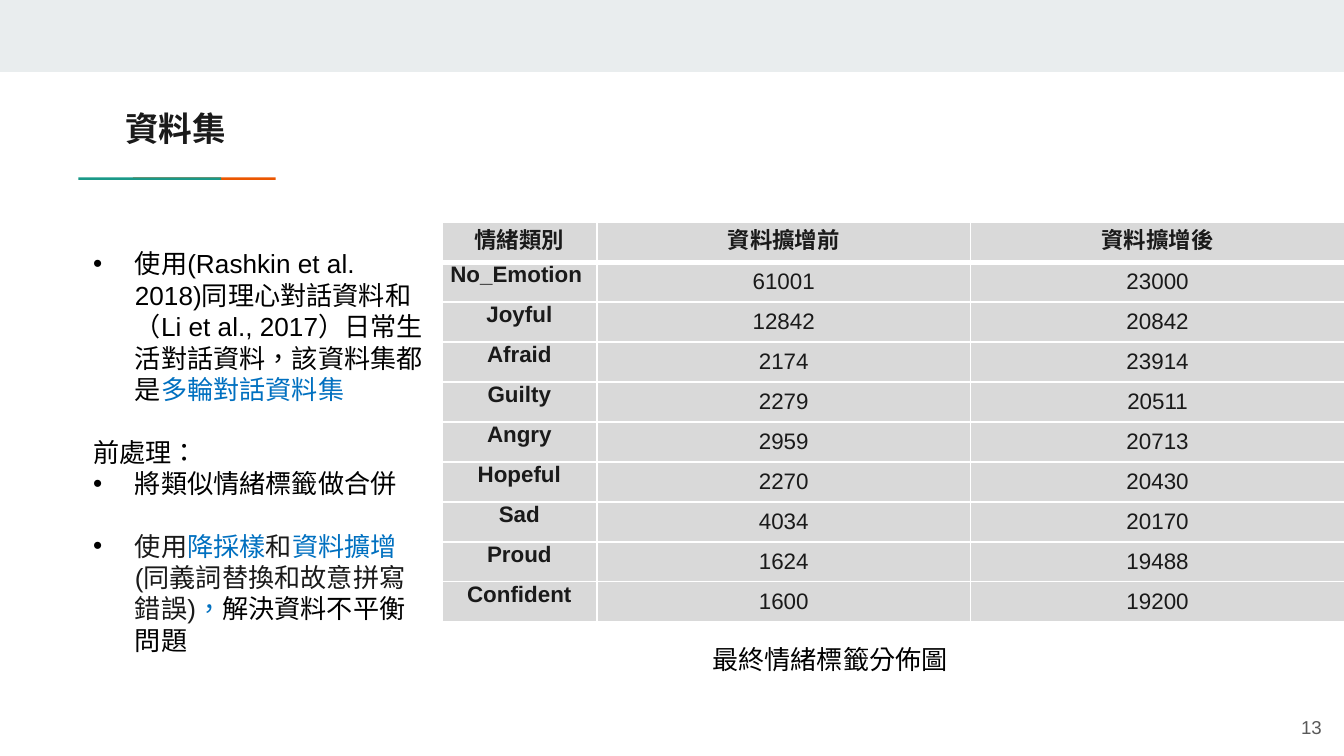
from lxml import etree
from pptx import Presentation
from pptx import util as u
from pptx.dml.color import RGBColor
from pptx.enum import lang, shapes, text
from pptx.oxml import ns

COLORS = {
    "band": "E9EDEE", "teal": "1A9988", "orange": "EB5600", "cell": "D9D9D9",
    "white": "FFFFFF", "black": "000000", "ink": "1A1A1A", "blue": "0070C0",
    "gray": "595959",
}
FONT = "Arial"
HEADERS = ["情緒類別", "資料擴增前", "資料擴增後"]
EMOTIONS = [
    ("No_Emotion", 61001, 23000),
    ("Joyful", 12842, 20842),
    ("Afraid", 2174, 23914),
    ("Guilty", 2279, 20511),
    ("Angry", 2959, 20713),
    ("Hopeful", 2270, 20430),
    ("Sad", 4034, 20170),
    ("Proud", 1624, 19488),
    ("Confident", 1600, 19200),
]
NOTES = [
    (True, 0, [("使用(Rashkin et al. 2018)同理心對話資料和（Li et al., 2017）日常生活對話資料，該資料集都是", "black"),
               ("多輪對話資料集", "blue")]),
    (False, 16.75, [("前處理：", "black")]),
    (True, 0, [("將類似情緒標籤做合併", "black")]),
    (True, 16.75, [("使用", "ink"), ("降採樣", "blue"), ("和", "ink"), ("資料擴增", "blue"),
                   ("(同義詞替換和故意拼寫錯誤)", "ink"), ("，", "blue"),
                   ("解決資料不平衡問題", "black")]),
]


def rgb(name):
    return RGBColor.from_string(COLORS[name])


def add_run(p, words, size, color, bold=False):
    r = p.add_run()
    r.text = words
    r.font.name = FONT
    r.font.size = u.Pt(size)
    r.font.bold = bold
    r.font.color.rgb = rgb(color)
    r.font.language_id = lang.MSO_LANGUAGE_ID.TRADITIONAL_CHINESE


def add_bar(s, box, color):
    sp = s.shapes.add_shape(shapes.MSO_SHAPE.RECTANGLE, *map(u.Cm, box))
    sp.shadow.inherit = False
    sp.fill.solid()
    sp.fill.fore_color.rgb = rgb(color)
    sp.line.fill.background()
    return sp


def add_stroke(s, box, color):
    x, y, w, h = box
    upright = (x + (w - h) / 2, y + (h - w) / 2, h, w)
    add_bar(s, upright, color).rotation = 270


def add_frame(s, box, inset=None):
    tf = s.shapes.add_textbox(*map(u.Cm, box)).text_frame
    tf.word_wrap = True
    if inset is not None:
        tf.margin_left = tf.margin_right = u.Cm(inset)
        tf.margin_top = tf.margin_bottom = u.Cm(inset)
    return tf


def add_bullet(p):
    pPr = p._p.get_or_add_pPr()
    pPr.set("marL", str(u.Cm(0.79)))
    pPr.set("indent", str(-u.Cm(0.79)))
    color = etree.SubElement(pPr, ns.qn("a:buClr"))
    etree.SubElement(color, ns.qn("a:srgbClr"), val=COLORS["black"])
    etree.SubElement(pPr, ns.qn("a:buFont"), typeface=FONT)
    etree.SubElement(pPr, ns.qn("a:buChar"), char="•")


def add_borders(cell, widths):
    tcPr = cell._tc.get_or_add_tcPr()
    for side, width in widths.items():
        ln = etree.SubElement(tcPr, ns.qn(f"a:ln{side}"), w=str(u.Pt(width)))
        fill = etree.SubElement(ln, ns.qn("a:solidFill"))
        etree.SubElement(fill, ns.qn("a:srgbClr"), val=COLORS["white"])


def add_heading(s, box):
    x, y, w, h = box
    add_stroke(s, (x + 1.03, y + 1.56, 2.7, 0.05), "orange")
    add_stroke(s, (x, y + 1.56, 2.7, 0.05), "teal")
    tf = add_frame(s, (x + 0.64, y, w, h), 0.25)
    add_run(tf.paragraphs[0], "資料集", 18, "ink", True)


def add_notes(s, box):
    tf = add_frame(s, box)
    for i, (bulleted, gap, runs) in enumerate(NOTES):
        p = tf.paragraphs[0] if i == 0 else tf.add_paragraph()
        p.space_before = u.Pt(gap)
        if bulleted:
            add_bullet(p)
        for words, color in runs:
            add_run(p, words, 14, color)


def add_emotion_table(s, box):
    rows = [HEADERS] + EMOTIONS
    w, h = box[2:]
    table = s.shapes.add_table(len(rows), len(HEADERS), *map(u.Cm, box)).table
    first = 2.93
    for i, column in enumerate(table.columns):
        column.width = u.Cm(first if i == 0 else (w - first) / 2)
    for row in table.rows:
        row.height = u.Cm(h / len(rows))
    for i, values in enumerate(rows):
        for j, value in enumerate(values):
            cell = table.cell(i, j)
            label = i == 0 or j == 0
            cell.margin_left = cell.margin_right = u.Cm(0.16)
            cell.margin_top = cell.margin_bottom = 0
            cell.vertical_anchor = text.MSO_ANCHOR.TOP if label else text.MSO_ANCHOR.MIDDLE
            add_borders(cell, {"L": 1, "R": 1, "T": 3 if i == 1 else 1, "B": 3 if i == 0 else 1})
            cell.fill.solid()
            cell.fill.fore_color.rgb = rgb("cell")
            p = cell.text_frame.paragraphs[0]
            p.alignment = text.PP_ALIGN.LEFT if (i, j) == (1, 0) else text.PP_ALIGN.CENTER
            add_run(p, str(value), 12, "ink", label)


def add_caption(s, box):
    add_run(add_frame(s, box).paragraphs[0], "最終情緒標籤分佈圖", 14, "black")


def add_page_number(s, box):
    tf = add_frame(s, box, 0.25)
    tf.vertical_anchor = text.MSO_ANCHOR.MIDDLE
    p = tf.paragraphs[0]
    p.alignment = text.PP_ALIGN.RIGHT
    add_run(p, "13", 10, "gray")


def main():
    prs = Presentation()
    prs.slide_width, prs.slide_height = u.Cm(25.4), u.Cm(14.29)
    s = prs.slides.add_slide(prs.slide_layouts[6])
    add_bar(s, (0, 0, 25.4, 1.36), "band")
    add_heading(s, (1.48, 1.79, 5.13, 1.5))
    add_notes(s, (1.51, 4.56, 6.83, 8.03))
    add_emotion_table(s, (8.35, 4.2, 17.06, 7.55))
    add_caption(s, (13.21, 12.04, 6.65, 0.86))
    add_page_number(s, (23.71, 13.19, 1.52, 1.09))
    prs.save("out.pptx")


if __name__ == "__main__":
    main()
